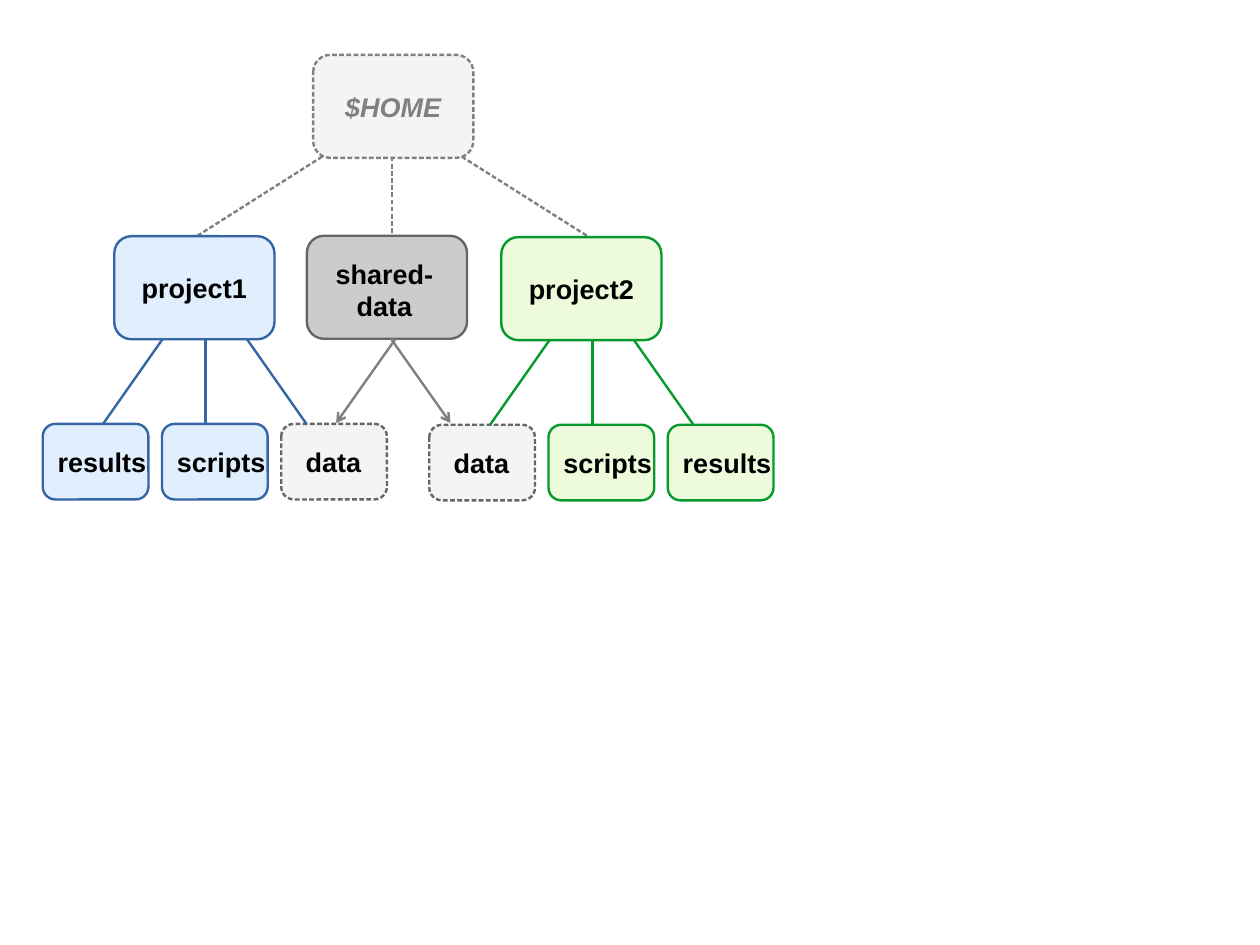
from dataclasses import dataclass

from lxml import etree
from pptx import Presentation
from pptx.dml.color import RGBColor
from pptx.enum.shapes import MSO_CONNECTOR, MSO_SHAPE
from pptx.enum.text import MSO_ANCHOR, PP_ALIGN
from pptx.oxml.ns import qn
from pptx.util import Cm, Pt

ROUNDED = MSO_SHAPE.ROUNDED_RECTANGLE
STRAIGHT = MSO_CONNECTOR.STRAIGHT
MIDDLE = MSO_ANCHOR.MIDDLE
CENTER, LEFT = PP_ALIGN.CENTER, PP_ALIGN.LEFT


@dataclass(frozen=True)
class Theme:
    font: str = "Arial"
    size: float = 17
    line_width: float = 1.5
    text: str = "000000"
    gray: str = "808080"
    dark_gray: str = "666666"
    mid_gray: str = "CCCCCC"
    pale_gray: str = "F4F4F4"
    blue: str = "3465A4"
    pale_blue: str = "E1EEFD"
    green: str = "069A2E"
    pale_green: str = "EEFADC"


THEME = Theme()
FOLDER = (3.56, 2.29)
LEAF = (2.35, 1.68)
LEAF_STEP = 2.65
PROJECT_LINKS = ((1.07, -0.25), (2.03, 2.03), (2.95, 4.27))


def style_line(line, color, dashed):
    line.color.rgb = RGBColor.from_string(color)
    line.width = Pt(THEME.line_width)
    if dashed:
        dash = etree.SubElement(line._get_or_add_ln(), qn("a:custDash"))
        etree.SubElement(dash, qn("a:ds"), d="200000", sp="100000")


def add_box(s, x, y, size, label, fill, outline, dashed=False, align=CENTER,
            insets=(0.25, 0.13, 0.25, 0.13), wrap=False,
            color=THEME.text, italic=False):
    box = s.shapes.add_shape(ROUNDED, Cm(x), Cm(y), Cm(size[0]), Cm(size[1]))
    box.shadow.inherit = False
    box.fill.solid()
    box.fill.fore_color.rgb = RGBColor.from_string(fill)
    style_line(box.line, outline, dashed)
    tf = box.text_frame
    tf.text = label
    tf.word_wrap = wrap
    tf.vertical_anchor = MIDDLE
    tf.margin_left, tf.margin_top, tf.margin_right, tf.margin_bottom = map(Cm, insets)
    p = tf.paragraphs[0]
    p.alignment = align
    font = p.runs[0].font
    font.name = THEME.font
    font.size = Pt(THEME.size)
    font.bold = True
    font.italic = italic
    font.color.rgb = RGBColor.from_string(color)


def add_link(s, x1, y1, x2, y2, color, dashed=False, arrow=False):
    link = s.shapes.add_connector(STRAIGHT, Cm(x1), Cm(y1), Cm(x2), Cm(y2))
    style_line(link.line, color, dashed)
    if arrow:
        etree.SubElement(link.line._get_or_add_ln(), qn("a:tailEnd"), type="arrow")
    etree.SubElement(link._element.spPr, qn("a:effectLst"))


def add_leaf(s, x, y, label, fill, outline):
    if label == "data":
        add_box(s, x, y, LEAF, label, THEME.pale_gray, THEME.dark_gray,
                dashed=True, align=LEFT, insets=(0.46, 0.13, 0, 0.13))
    else:
        add_box(s, x, y, LEAF, label, fill, outline,
                align=LEFT, insets=(0.25, 0.13, 0, 0.13))


def add_project(s, x, y, label, leaf_x, leaf_y, leaves, fill, outline):
    add_box(s, x, y, FOLDER, label, fill, outline)
    for i, leaf in enumerate(leaves):
        add_leaf(s, leaf_x + i * LEAF_STEP, leaf_y, leaf, fill, outline)
    for start, end in PROJECT_LINKS:
        add_link(s, x + start, y + FOLDER[1], x + end, leaf_y, outline)


def add_home(s):
    add_box(s, 6.96, 1.22, FOLDER, "$HOME", THEME.pale_gray, THEME.gray,
            dashed=True, color=THEME.gray, italic=True)
    for start, end in ((7.16, 4.37), (8.71, 8.71), (10.26, 13.06)):
        add_link(s, start, 3.48, end, 5.25, THEME.gray, dashed=True)


def add_shared_data(s):
    add_box(s, 6.82, 5.24, FOLDER, "shared-data", THEME.mid_gray, THEME.dark_gray,
            insets=(0.25, 0.2, 0.36, 0.1), wrap=True)
    apex = 8.74
    for side in (-1, 1):
        add_link(s, apex - side * 0.05, 7.53, apex + side * 1.27, 9.4,
                 THEME.gray, arrow=True)


def main():
    prs = Presentation()
    prs.slide_width, prs.slide_height = Cm(28), Cm(21)
    s = prs.slides.add_slide(prs.slide_layouts[6])
    add_home(s)
    add_project(s, 2.54, 5.25, "project1", 0.95, 9.42,
                ("results", "scripts", "data"), THEME.pale_blue, THEME.blue)
    add_project(s, 11.14, 5.27, "project2", 9.54, 9.44,
                ("data", "scripts", "results"), THEME.pale_green, THEME.green)
    add_shared_data(s)
    prs.save("out.pptx")


if __name__ == "__main__":
    main()
